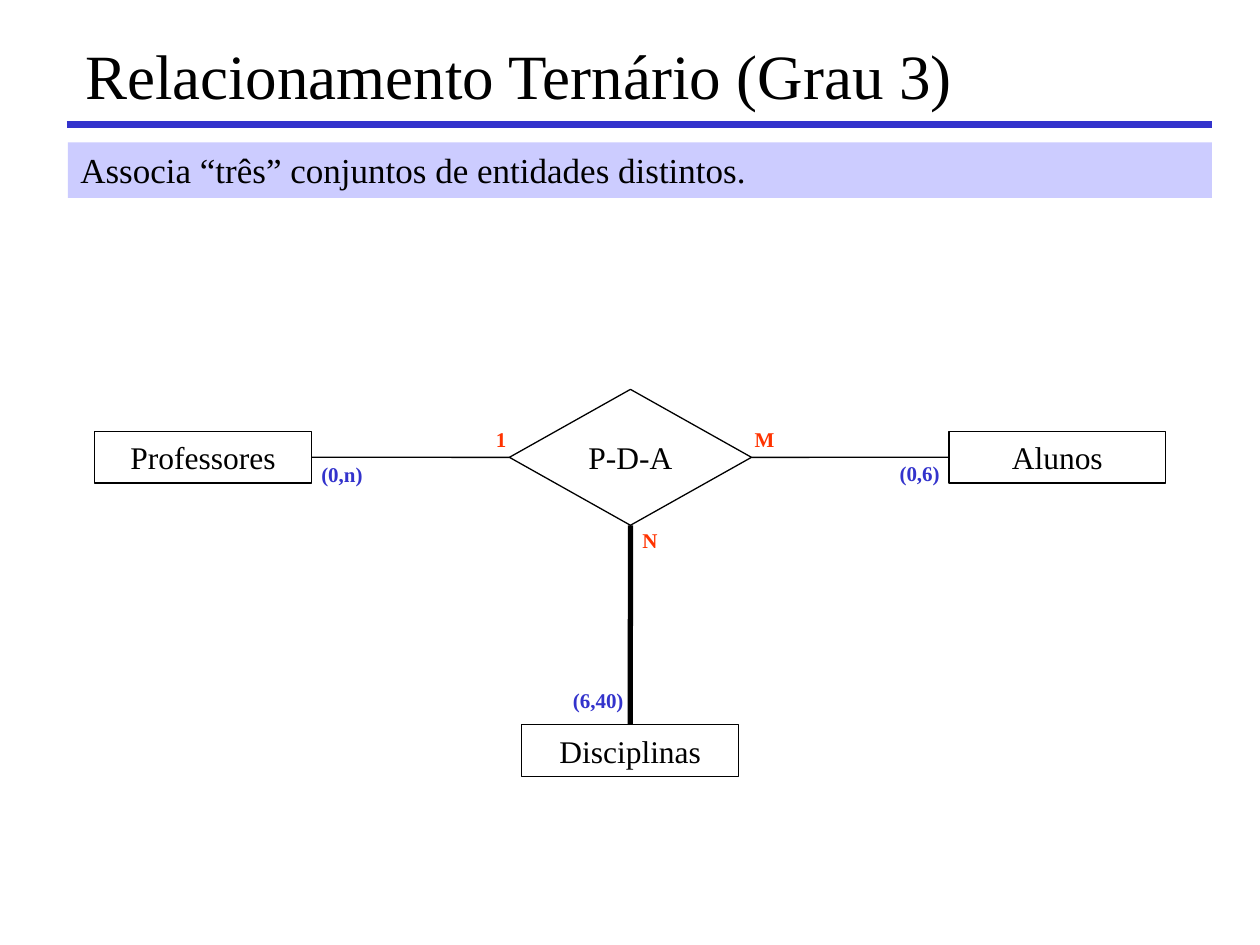
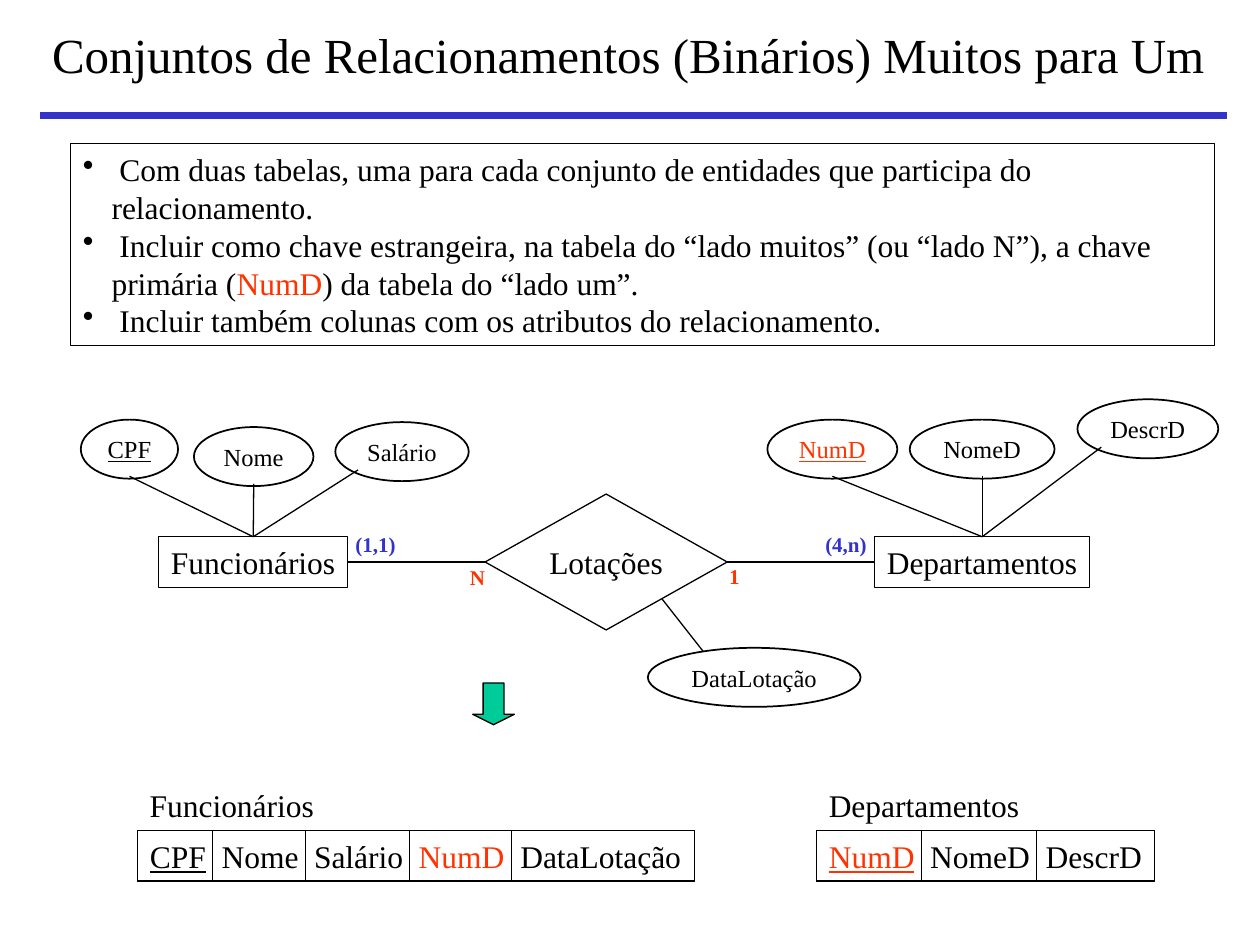
from lxml import etree
from pptx import Presentation
from pptx.dml.color import RGBColor
from pptx.enum.shapes import MSO_CONNECTOR, MSO_SHAPE
from pptx.enum.text import MSO_ANCHOR, PP_ALIGN
from pptx.oxml.ns import qn
from pptx.util import Cm, Pt

RECTANGLE, ELLIPSE = MSO_SHAPE.RECTANGLE, MSO_SHAPE.OVAL
DIAMOND, DOWN_ARROW = MSO_SHAPE.FLOWCHART_DECISION, MSO_SHAPE.DOWN_ARROW
STRAIGHT = MSO_CONNECTOR.STRAIGHT
LEFT, CENTER = PP_ALIGN.LEFT, PP_ALIGN.CENTER
TOP, MIDDLE = MSO_ANCHOR.TOP, MSO_ANCHOR.MIDDLE
TOP_SIDE, LEFT_SIDE, BOTTOM_SIDE, RIGHT_SIDE = range(4)

FONT = "Times New Roman"
BLACK, BLUE, RED, LILAC, GREEN = "000000", "3333CC", "FF3300", "CCCCFF", "00CC99"
THIN, OVAL_LINE, TOTAL_LINE, RULE_LINE = 0.75, 1, 3, 4

DIAMOND_SIZE = (4.88, 2.74)
LABEL_HEIGHT, ATTRIBUTE_HEIGHT, ROW_HEIGHT = 0.76, 1.19, 1.02
BULLET_INDENT = 0.58
BOTTOM_FOOT, CORNER_FOOT = (0.5, 0.96), (0.17, 0.81)
PADDED, TIGHT = (0.25, 0.13), (0, 0)

PRIMARY = {"underline": True}
FOREIGN = {"color": RED}
FOREIGN_PRIMARY = {"underline": True, "color": RED}

TERNARY = {
    "title": ("Relacionamento Ternário (Grau 3)", (1.47, 0.36, 22.86, 2.26), 36, LEFT),
    "rule": (1.35, 24.43, 2.51),
    "band": ("Associa “três” conjuntos de entidades distintos.", (1.37, 2.87, 23.06, 1.12)),
    "relationship": ("P-D-A", 10.27, 7.85),
    "entities": [
        ("Professores", (1.91, 8.7, 4.37, 1.04), RIGHT_SIDE, LEFT_SIDE, THIN, []),
        ("Alunos", (19.13, 8.7, 4.37, 1.04), LEFT_SIDE, RIGHT_SIDE, THIN, []),
        ("Disciplinas", (10.52, 14.61, 4.37, 1.04), TOP_SIDE, BOTTOM_SIDE, TOTAL_LINE, []),
    ],
    "labels": [
        ("1", 9.75, 8.48, 0.71, RED),
        ("M", 14.96, 8.48, 0.91, RED),
        ("N", 12.7, 10.5, 0.81, RED),
        ("(0,n)", 6.22, 9.17, 1.35, BLUE),
        ("(0,6)", 17.88, 9.16, 1.32, BLUE),
        ("(6,40)", 11.3, 13.74, 1.52, BLUE),
    ],
}

MANY_TO_ONE = {
    "title": ("Conjuntos de Relacionamentos (Binários) Muitos para Um",
              (0.74, 0.28, 23.85, 1.63), 28, CENTER),
    "rule": (0.81, 24.74, 2.33),
    "relationship": ("Lotações", 9.78, 9.96),
    "entities": [
        ("Funcionários", (3.2, 10.82, 3.81, 1.02), RIGHT_SIDE, LEFT_SIDE, THIN, [
            ("CPF", 1.63, 8.46, 1.96, BOTTOM_FOOT, PRIMARY),
            ("Nome", 3.91, 8.61, 2.41, BOTTOM_FOOT, {}),
            ("Salário", 6.76, 8.51, 2.69, CORNER_FOOT, {}),
        ]),
        ("Departamentos", (17.63, 10.82, 4.34, 1.02), LEFT_SIDE, RIGHT_SIDE, THIN, [
            ("NumD", 15.47, 8.46, 2.62, BOTTOM_FOOT, FOREIGN_PRIMARY),
            ("NomeD", 18.34, 8.46, 2.92, BOTTOM_FOOT, {}),
            ("DescrD", 21.72, 8.05, 2.84, CORNER_FOOT, {}),
        ]),
    ],
    "labels": [
        ("N", 9.22, 11.25, 0.81, RED),
        ("1", 14.45, 11.23, 0.71, RED),
        ("(1,1)", 6.91, 10.59, 1.32, BLUE),
        ("(4,n)", 16.38, 10.59, 1.35, BLUE),
    ],
}

RULES_BOX = (1.42, 2.9, 23.06, 4.06)
MAPPING_RULES = [
    " Com duas tabelas, uma para cada conjunto de entidades que participa do relacionamento.",
    [(" Incluir como chave estrangeira, na tabela do “lado muitos” (ou “lado N”), "
      "a chave primária (", {}), ("NumD", FOREIGN), (") da tabela do “lado um”.", {})],
    " Incluir também colunas com os atributos do relacionamento.",
]
LOTACAO_DATE = ("DataLotação", 13.06, 13.06, 4.29)
DATE_LINK = ((0.73, 0.77), (0.26, 0.06))
MAPPING_ARROW = (9.53, 13.77, 0.84, 0.84)
CAPTION_TOP, TABLE_TOP = 15.72, 16.74
TABLES = [
    ("Funcionários", 2.77, 3.81, [
        ("CPF", 1.52, PRIMARY), ("Nome", 1.86, {}), ("Salário", 2.11, {}),
        ("NumD", 2.05, FOREIGN), ("DataLotação", 3.69, {})]),
    ("Departamentos", 16.46, 4.34, [
        ("NumD", 2.11, FOREIGN_PRIMARY), ("NomeD", 2.33, {}), ("DescrD", 2.37, {})]),
]


def rgb(color):
    return RGBColor.from_string(color)


def lengths(box):
    return [Cm(value) for value in box]


def write(frame, text, size=18, color=BLACK, bold=False, underline=False,
          align=CENTER, anchor=MIDDLE, wrap=False, margins=TIGHT):
    frame.word_wrap = wrap
    frame.vertical_anchor = anchor
    frame.margin_left = frame.margin_right = Cm(margins[0])
    frame.margin_top = frame.margin_bottom = Cm(margins[1])
    for index, content in enumerate(text if isinstance(text, list) else [text]):
        paragraph = frame.add_paragraph() if index else frame.paragraphs[0]
        paragraph.alignment = align
        for words, change in content if isinstance(content, list) else [(content, {})]:
            run = paragraph.add_run()
            run.text = words
            run.font.name, run.font.size, run.font.bold = FONT, Pt(size), bold
            run.font.underline = change.get("underline", underline)
            run.font.color.rgb = rgb(change.get("color", color))


def add_text(slide, text, box, **style):
    write(slide.shapes.add_textbox(*lengths(box)).text_frame, text, **style)


def add_box(slide, kind, box, text=None, fill=None, line=THIN, **style):
    shape = slide.shapes.add_shape(kind, *lengths(box))
    shape.shadow.inherit = False
    if fill:
        shape.fill.solid()
        shape.fill.fore_color.rgb = rgb(fill)
    else:
        shape.fill.background()
    if line:
        shape.line.color.rgb = rgb(BLACK)
        shape.line.width = Pt(line)
    else:
        shape.line.fill.background()
    if text:
        write(shape.text_frame, text, **style)
    return shape


def add_line(slide, start=(0, 0), end=(0, 0), color=BLACK, width=THIN):
    line = slide.shapes.add_connector(STRAIGHT, *lengths(start + end))
    line.line.color.rgb = rgb(color)
    line.line.width = Pt(width)
    etree.SubElement(line._element.spPr, qn("a:effectLst"))
    return line


def point_on(box, share):
    left, top, width, height = box
    return left + share[0] * width, top + share[1] * height


def add_attribute(slide, name, left, top, width, **style):
    box = (left, top, width, ATTRIBUTE_HEIGHT)
    add_box(slide, ELLIPSE, box, name, line=OVAL_LINE, size=14, **style)
    return box


def add_diagram(slide, content):
    title, title_box, size, align = content["title"]
    add_text(slide, title, title_box, size=size, align=align, wrap=True, margins=PADDED)
    start, end, height = content["rule"]
    add_line(slide, (start, height), (end, height), BLUE, RULE_LINE)

    name, left, top = content["relationship"]
    relationship_box = (left, top) + DIAMOND_SIZE
    relationship = add_box(slide, DIAMOND, relationship_box, name)
    for name, box, side, relationship_side, width, attributes in content["entities"]:
        entity = add_box(slide, RECTANGLE, box, name)
        link = add_line(slide, width=width)
        link.begin_connect(entity, side)
        link.end_connect(relationship, relationship_side)
        for attribute, left, top, oval_width, foot, style in attributes:
            oval = add_attribute(slide, attribute, left, top, oval_width, **style)
            add_line(slide, point_on(oval, foot)).end_connect(entity, TOP_SIDE)
    for label, left, top, width, color in content["labels"]:
        add_text(slide, label, (left, top, width, LABEL_HEIGHT), size=12, color=color, bold=True)
    return relationship_box


def add_bullets(frame):
    for paragraph in frame.paragraphs:
        properties = paragraph._p.get_or_add_pPr()
        properties.set("marL", str(Cm(BULLET_INDENT)))
        properties.set("indent", str(-Cm(BULLET_INDENT)))
        etree.SubElement(properties, qn("a:buChar"), char="•")


def add_borders(cell):
    properties = cell._tc.get_or_add_tcPr()
    for side in ("lnL", "lnR", "lnT", "lnB"):
        border = etree.SubElement(properties, qn("a:" + side), w=str(Pt(THIN)))
        fill = etree.SubElement(border, qn("a:solidFill"))
        etree.SubElement(fill, qn("a:srgbClr"), val=BLACK)


def add_relation(slide, name, left, caption_width, columns):
    add_text(slide, name, (left, CAPTION_TOP, caption_width, ROW_HEIGHT))
    total = sum(width for _, width, _ in columns)
    table = slide.shapes.add_table(
        1, len(columns), *lengths((left, TABLE_TOP, total, ROW_HEIGHT))).table
    table.first_row = table.horz_banding = False
    for index, (column, width, style) in enumerate(columns):
        table.columns[index].width = Cm(width)
        cell = table.cell(0, index)
        add_borders(cell)
        cell.fill.background()
        write(cell.text_frame, column, align=LEFT, **style)
        cell.vertical_anchor = MIDDLE
        cell.margin_left = Cm(0.18 if index else 0.25)
        cell.margin_right = 0
        cell.margin_top, cell.margin_bottom = Cm(0.1), Cm(0.02)


def main():
    deck = Presentation()
    deck.slide_width, deck.slide_height = Cm(25.4), Cm(19.05)
    blank = deck.slide_layouts[6]

    ternary = deck.slides.add_slide(blank)
    add_diagram(ternary, TERNARY)
    sentence, band = TERNARY["band"]
    add_box(ternary, RECTANGLE, band, sentence, fill=LILAC, line=None,
            size=20, align=LEFT, anchor=TOP, wrap=True, margins=PADDED)

    many_to_one = deck.slides.add_slide(blank)
    relationship_box = add_diagram(many_to_one, MANY_TO_ONE)
    rules = add_box(many_to_one, RECTANGLE, RULES_BOX, MAPPING_RULES,
                    align=LEFT, anchor=TOP, wrap=True, margins=PADDED)
    add_bullets(rules.text_frame)
    date_box = add_attribute(many_to_one, *LOTACAO_DATE)
    add_line(many_to_one, point_on(relationship_box, DATE_LINK[0]),
             point_on(date_box, DATE_LINK[1]))
    arrow = add_box(many_to_one, DOWN_ARROW, MAPPING_ARROW, fill=GREEN)
    arrow.adjustments[0], arrow.adjustments[1] = 0.5, 0.25
    for relation in TABLES:
        add_relation(many_to_one, *relation)

    deck.save("out.pptx")


if __name__ == "__main__":
    main()
